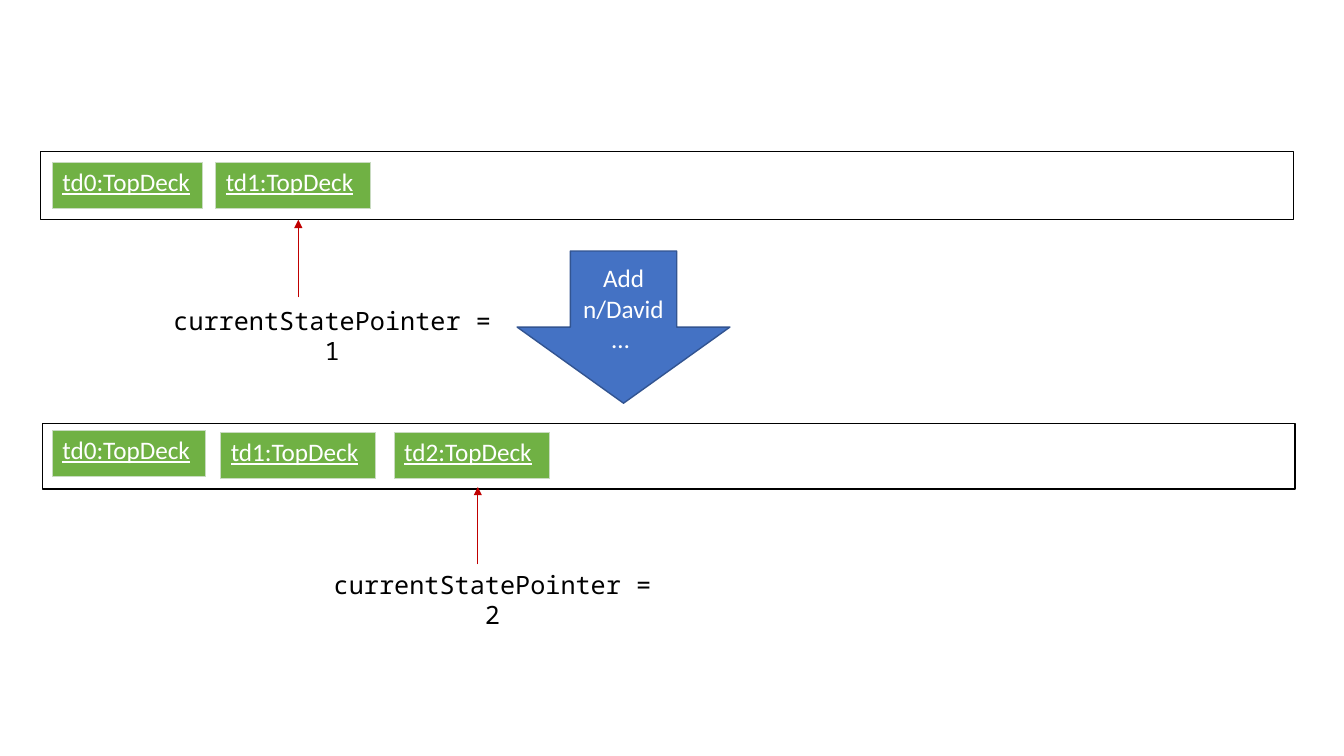
from dataclasses import dataclass

from lxml import etree
from pptx import Presentation
from pptx.dml.color import RGBColor
from pptx.enum.shapes import MSO_CONNECTOR, MSO_SHAPE
from pptx.enum.text import MSO_ANCHOR, PP_ALIGN
from pptx.oxml import parse_xml
from pptx.oxml.ns import nsdecls, qn
from pptx.shapes.autoshape import Shape
from pptx.slide import Slide
from pptx.text.text import TextFrame
from pptx.util import Pt

RECTANGLE = MSO_SHAPE.RECTANGLE
DOWN_ARROW = MSO_SHAPE.DOWN_ARROW
STRAIGHT = MSO_CONNECTOR.STRAIGHT
LEFT = PP_ALIGN.LEFT
CENTER = PP_ALIGN.CENTER
MIDDLE = MSO_ANCHOR.MIDDLE

WHITE = RGBColor(0xFF, 0xFF, 0xFF)
BLACK = RGBColor(0, 0, 0)
BLUE = RGBColor(0x44, 0x72, 0xC4)
DARK_BLUE = RGBColor(0x32, 0x54, 0x91)
GREEN = RGBColor(0x70, 0xB1, 0x44)
PALE_GREEN = RGBColor(0xC9, 0xDB, 0xC1)
RED = RGBColor(0xC0, 0, 0)

SANS = "Calibri"
MONO = "Noto Sans Mono"
LIST_WIDTH = 895
STATE_HEIGHT = 33
POINTER_LENGTH = 55.4
LABEL_WIDTH = 252.7
LABEL_HEIGHT = 28.8


@dataclass(frozen=True)
class State:
    left: float
    top: float
    width: float


@dataclass(frozen=True)
class StateList:
    left: float
    top: float
    height: float
    states: tuple[State, ...]
    pointer_x: float
    pointer_top: float
    label_left: float
    label_top: float


STATE_LISTS = (
    StateList(28.8, 108, 49,
              (State(37.4, 115.9, 107.3), State(154.1, 115.9, 110.2)),
              213.1, 157, 110.9, 214.6),
    StateList(30.2, 302.4, 46.8,
              (State(37.4, 307.4, 109.4), State(157.7, 308.9, 110.2),
               State(281.5, 308.9, 110.9)),
              341.3, 347.8, 225.4, 403.2),
)


def write_text(frame: TextFrame, text: str, *, font: str = SANS,
               color: RGBColor = WHITE, align: PP_ALIGN = CENTER,
               underline: bool = False) -> None:
    frame.word_wrap = True
    paragraph = frame.paragraphs[0]
    paragraph.alignment = align
    run = paragraph.add_run()
    run.text = text
    run.font.name = font
    run.font.size = Pt(18)
    run.font.bold = False
    run.font.underline = underline
    run.font.color.rgb = color


def add_outlined_shape(slide: Slide, kind: MSO_SHAPE, left: float, top: float,
                       width: float, height: float, line: RGBColor,
                       fill: RGBColor | None = None) -> Shape:
    shape = slide.shapes.add_shape(kind, Pt(left), Pt(top), Pt(width), Pt(height))
    shape.shadow.inherit = False
    if fill is None:
        shape.fill.background()
    else:
        shape.fill.solid()
        shape.fill.fore_color.rgb = fill
    shape.line.color.rgb = line
    shape.line.width = Pt(1)
    return shape


def add_state(slide: Slide, state: State, text: str) -> None:
    table = slide.shapes.add_table(1, 1, Pt(state.left), Pt(state.top),
                                   Pt(state.width), Pt(STATE_HEIGHT)).table
    cell = table.cell(0, 0)
    cell.fill.solid()
    cell.fill.fore_color.rgb = GREEN
    write_text(cell.text_frame, text, align=LEFT, underline=True)
    properties = cell._tc.get_or_add_tcPr()
    for index, side in enumerate(("lnL", "lnR", "lnT", "lnB")):
        properties.insert(index, parse_xml(
            f'<a:{side} {nsdecls("a")} w="{Pt(0.5)}"><a:solidFill>'
            f'<a:srgbClr val="{PALE_GREEN}"/></a:solidFill></a:{side}>'))


def add_pointer(slide: Slide, x: float, top: float) -> None:
    connector = slide.shapes.add_connector(
        STRAIGHT, Pt(x), Pt(top + POINTER_LENGTH), Pt(x), Pt(top))
    connector.line.color.rgb = RED
    connector.line.width = Pt(0.5)
    etree.SubElement(connector.line._get_or_add_ln(), qn("a:tailEnd"), type="triangle")
    etree.SubElement(connector._element.spPr, qn("a:effectLst"))


def add_state_list(slide: Slide, state_list: StateList) -> None:
    add_outlined_shape(slide, RECTANGLE, state_list.left, state_list.top,
                       LIST_WIDTH, state_list.height, BLACK)
    for number, state in enumerate(state_list.states):
        add_state(slide, state, f"td{number}:TopDeck")
    add_pointer(slide, state_list.pointer_x, state_list.pointer_top)
    label = slide.shapes.add_textbox(Pt(state_list.label_left), Pt(state_list.label_top),
                                     Pt(LABEL_WIDTH), Pt(LABEL_HEIGHT))
    write_text(label.text_frame, f"currentStatePointer = {len(state_list.states) - 1}",
               font=MONO, color=BLACK)


presentation = Presentation()
presentation.slide_width = Pt(960)
presentation.slide_height = Pt(540)
slide = presentation.slides.add_slide(presentation.slide_layouts[6])

command = add_outlined_shape(slide, DOWN_ARROW, 369.4, 179.3, 152, 108.7, DARK_BLUE, BLUE)
command.text_frame.vertical_anchor = MIDDLE
write_text(command.text_frame, "Add n/David… ")
for state_list in STATE_LISTS:
    add_state_list(slide, state_list)

presentation.save("out.pptx")
